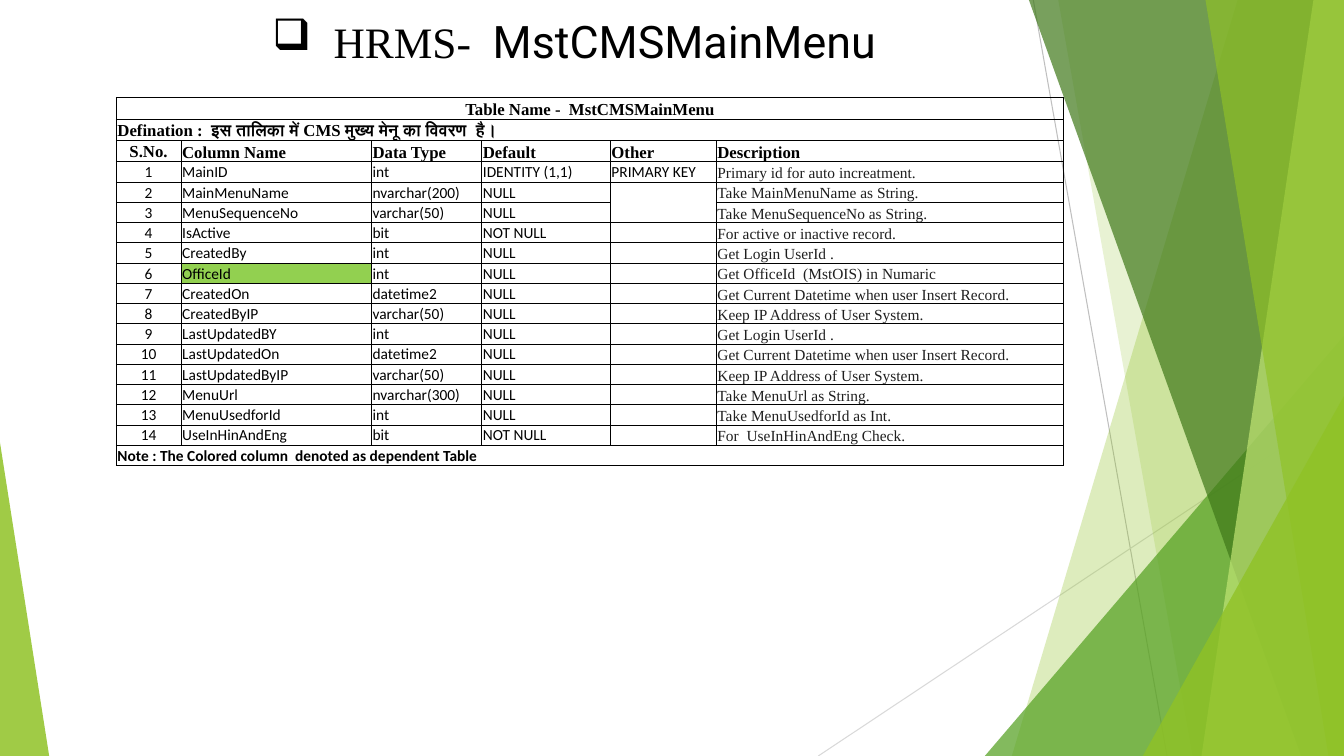
from lxml import etree
from pptx import Presentation
from pptx.dml.color import RGBColor
from pptx.enum import shapes, text
from pptx.oxml import ns
from pptx.util import Cm, Pt

COLORS = {
    "black": "000000", "ink": "1F1F1F", "dependent": "92D050",
    "steep_line": "BFBFBF", "flat_line": "D9D9D9",
    "lime": "90C226", "green": "54A021", "forest": "3F7819", "pale": "C0E474",
}
SERIF, SANS = "Times New Roman", "Calibri"
SLIDE_WIDTH, SLIDE_HEIGHT = 33.87, 19.05

COLUMN_WIDTHS = [1.63, 4.8, 2.78, 3.24, 2.67, 8.76]
ROW_HEIGHT, HEADING_HEIGHT = 0.51, 0.53
HEADINGS = ["S.No.", "Column Name", "Data Type", "Default", "Other", "Description"]
FIELDS = [
    ("MainID", "int", "IDENTITY (1,1)", "PRIMARY KEY", "Primary id for auto increatment."),
    ("MainMenuName", "nvarchar(200)", "NULL", "", "Take MainMenuName as String."),
    ("MenuSequenceNo", "varchar(50)", "NULL", "", "Take MenuSequenceNo as String."),
    ("IsActive", "bit", "NOT NULL", "", "For active or inactive record."),
    ("CreatedBy", "int", "NULL", "", "Get Login UserId ."),
    ("OfficeId", "int", "NULL", "", "Get OfficeId  (MstOIS) in Numaric"),
    ("CreatedOn", "datetime2", "NULL", "", "Get Current Datetime when user Insert Record."),
    ("CreatedByIP", "varchar(50)", "NULL", "", "Keep IP Address of User System."),
    ("LastUpdatedBY", "int", "NULL", "", "Get Login UserId ."),
    ("LastUpdatedOn", "datetime2", "NULL", "", "Get Current Datetime when user Insert Record."),
    ("LastUpdatedByIP", "varchar(50)", "NULL", "", "Keep IP Address of User System."),
    ("MenuUrl", "nvarchar(300)", "NULL", "", "Take MenuUrl as String."),
    ("MenuUsedforId", "int", "NULL", "", "Take MenuUsedforId as Int."),
    ("UseInHinAndEng", "bit", "NOT NULL", "", "For  UseInHinAndEng Check."),
]


def rgb(name):
    return RGBColor.from_string(COLORS[name])


def add_child(parent, tag, **attributes):
    return etree.SubElement(parent, ns.qn(tag), **attributes)


def add_line(slide, start, end, color):
    line = slide.shapes.add_connector(
        shapes.MSO_CONNECTOR.STRAIGHT, *(Cm(value) for value in start + end))
    line.line.color.rgb = rgb(color)
    line.line.width = Pt(0.75)
    add_child(line._element.spPr, "a:effectLst")


def paint(shape, color, opacity):
    """Give a facet its see-through fill, with no outline or shadow."""
    shape.shadow.inherit = False
    shape.line.fill.background()
    shape.fill.solid()
    shape.fill.fore_color.rgb = rgb(color)
    solid_color = shape._element.spPr.find(".//" + ns.qn("a:srgbClr"))
    add_child(solid_color, "a:alpha", val=str(opacity * 1000))


def add_band(slide, top_x, bottom_x, color, opacity):
    """Fill from a slanted edge to the right side of the slide."""
    outline = slide.shapes.build_freeform(Cm(top_x), 0)
    corners = [(SLIDE_WIDTH, 0), (SLIDE_WIDTH, SLIDE_HEIGHT), (bottom_x, SLIDE_HEIGHT)]
    outline.add_line_segments([(Cm(x), Cm(y)) for x, y in corners])
    paint(outline.convert_to_shape(), color, opacity)


def add_corner(slide, left, right, top, apex, color, opacity):
    """Add a triangle standing on the bottom edge; apex is 0 (left) or 1 (right)."""
    corner = slide.shapes.add_shape(
        shapes.MSO_SHAPE.ISOSCELES_TRIANGLE,
        Cm(left), Cm(top), Cm(right - left), Cm(SLIDE_HEIGHT - top))
    corner.adjustments[0] = apex
    paint(corner, color, opacity)


def add_backdrop(slide):
    add_line(slide, (26.04, 0), (29.41, SLIDE_HEIGHT), "steep_line")
    add_line(slide, (SLIDE_WIDTH, 10.24), (20.62, SLIDE_HEIGHT), "flat_line")
    add_band(slide, 31.19, 25.5, "lime", 30)
    add_band(slide, 26.67, 30.05, "lime", 20)
    add_corner(slide, 24.82, SLIDE_WIDTH, 8.46, 1, "green", 72)
    add_band(slide, 25.93, 32.79, "forest", 70)
    add_band(slide, 33.1, 30.28, "pale", 70)
    add_band(slide, 30.38, 33.48, "lime", 65)
    add_corner(slide, 28.8, SLIDE_WIDTH, 9.98, 1, "lime", 80)
    add_corner(slide, 0, 1.24, 11.15, 0, "lime", 85)


def set_title(slide):
    title = slide.shapes.title
    title.left, title.top, title.width, title.height = Cm(3.96), Cm(0.2), Cm(21.03), Cm(1.63)
    title.text_frame.auto_size = text.MSO_AUTO_SIZE.SHAPE_TO_FIT_TEXT
    heading = title.text_frame.paragraphs[0]
    heading.alignment = text.PP_ALIGN.CENTER
    for words, font_name, size in ((" HRMS-  ", SERIF, 31), ("MstCMSMainMenu", "Roboto", 32)):
        run = heading.add_run()
        run.text = words
        run.font.name, run.font.size = font_name, Pt(size)
        run.font.color.rgb = rgb("black")
    properties = heading._p.get_or_add_pPr()
    properties.set("marL", str(Cm(1.27)))
    properties.set("indent", str(Cm(-1.27)))
    add_child(properties, "a:buChar", char="❑")


def set_borders(cell, hidden=""):
    """Draw thin black sides, except those listed in hidden (L, R, T, B)."""
    properties = cell._tc.get_or_add_tcPr()
    for position, side in enumerate("LRTB"):
        border = etree.Element(ns.qn("a:ln" + side), w=str(Pt(0.5)))
        properties.insert(position, border)
        if side in hidden:
            add_child(border, "a:noFill")
        else:
            add_child(add_child(border, "a:solidFill"), "a:srgbClr", val=COLORS["black"])


def fill_cell(cell, words, font_name=SANS, size=11, bold=False, color="black",
              centered=False, middle=False):
    cell.margin_left = cell.margin_right = cell.margin_top = Cm(0.03)
    cell.margin_bottom = 0
    cell.vertical_anchor = text.MSO_ANCHOR.MIDDLE if middle else text.MSO_ANCHOR.BOTTOM
    cell.fill.background()
    cell.text = words
    paragraph = cell.text_frame.paragraphs[0]
    paragraph.alignment = text.PP_ALIGN.CENTER if centered else text.PP_ALIGN.LEFT
    paragraph.font.name, paragraph.font.size = font_name, Pt(size)
    paragraph.font.bold = bold
    paragraph.font.color.rgb = rgb(color)


def fill_full_row(table, row, words, **style):
    cells = list(table.rows[row].cells)
    cells[0].merge(cells[-1])
    fill_cell(cells[0], words, bold=True, **style)
    for cell in cells:
        set_borders(cell)


def fill_field_row(table, row, number, field):
    *facts, description = field
    for column, words in enumerate([str(number), *facts]):
        fill_cell(table.cell(row, column), words, centered=column == 0, middle=column == 0)
    fill_cell(table.cell(row, 5), description, SERIF, color="ink")
    open_sides = {"MainMenuName": "B", "MenuSequenceNo": "T"}
    for column, cell in enumerate(table.rows[row].cells):
        set_borders(cell, open_sides.get(field[0], "") if column == 4 else "")
    if field[0] == "OfficeId":
        dependent = table.cell(row, 1)
        dependent.fill.solid()
        dependent.fill.fore_color.rgb = rgb("dependent")


def add_field_table(slide):
    row_count = len(FIELDS) + 4
    table = slide.shapes.add_table(
        row_count, len(HEADINGS), Cm(2.93), Cm(2.46),
        Cm(sum(COLUMN_WIDTHS)), Cm(ROW_HEIGHT * row_count)).table
    table.first_row = table.horz_banding = False
    for column, width in zip(table.columns, COLUMN_WIDTHS):
        column.width = Cm(width)
    for index, row in enumerate(table.rows):
        row.height = Cm(HEADING_HEIGHT if index < 3 else ROW_HEIGHT)

    fill_full_row(table, 0, "Table Name -  MstCMSMainMenu",
                  font_name=SERIF, size=12, centered=True)
    fill_full_row(table, 1, "Defination :  इस तालिका में CMS मुख्य मेनू का विवरण  है।",
                  font_name=SERIF, size=12)
    for column, heading in enumerate(HEADINGS):
        cell = table.cell(2, column)
        fill_cell(cell, heading, SERIF, 12, True, centered=column == 0, middle=column == 0)
        set_borders(cell)
    for number, field in enumerate(FIELDS, 1):
        fill_field_row(table, number + 2, number, field)
    fill_full_row(table, row_count - 1,
                  "Note : The Colored column  denoted as dependent Table", middle=True)


def main():
    deck = Presentation()
    deck.slide_width, deck.slide_height = Cm(SLIDE_WIDTH), Cm(SLIDE_HEIGHT)
    slide = deck.slides.add_slide(deck.slide_layouts.get_by_name("Title Only"))
    add_backdrop(slide)
    set_title(slide)
    add_field_table(slide)
    deck.save("out.pptx")


if __name__ == "__main__":
    main()
